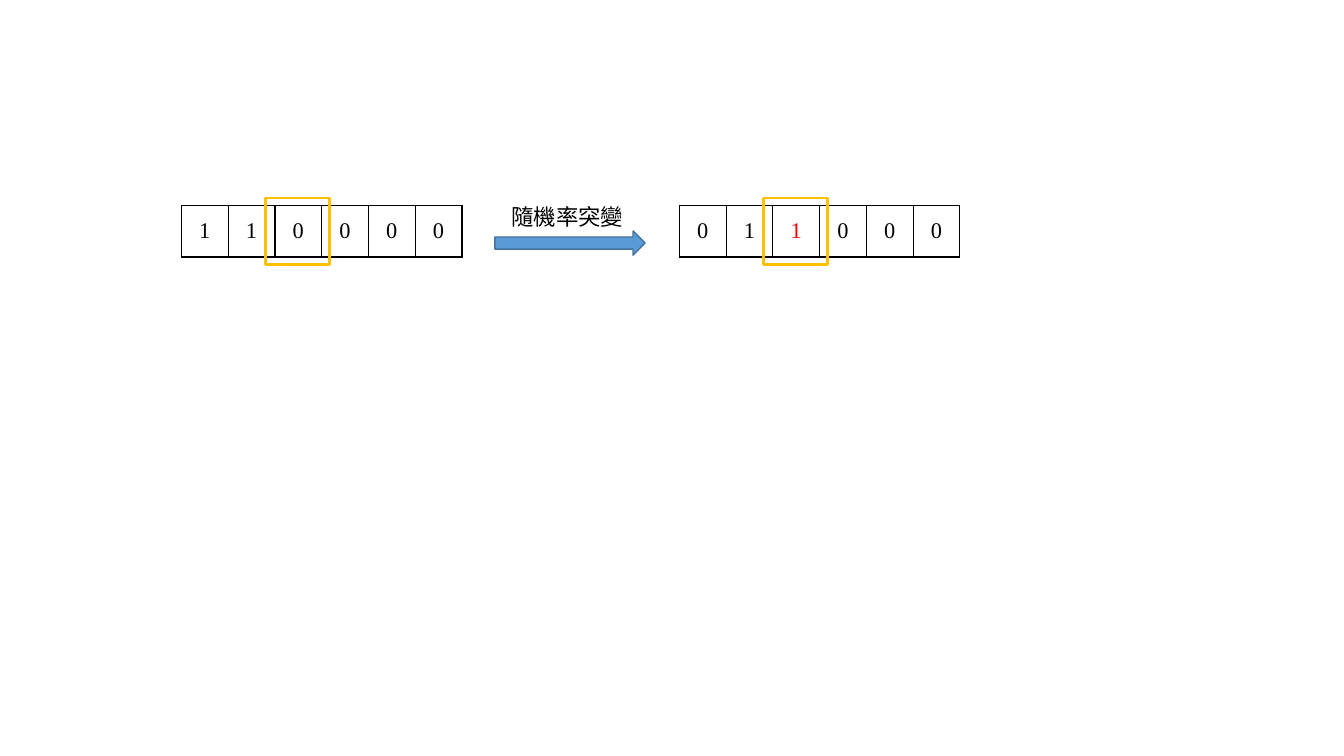
from lxml import etree
from pptx import Presentation
from pptx.dml.color import RGBColor
from pptx.enum.shapes import MSO_SHAPE
from pptx.enum.text import MSO_ANCHOR, MSO_AUTO_SIZE, PP_ALIGN
from pptx.oxml.ns import qn
from pptx.util import Pt

BLACK = RGBColor(0x00, 0x00, 0x00)
WHITE = RGBColor(0xFF, 0xFF, 0xFF)
RED = RGBColor(0xFF, 0x00, 0x00)
AMBER = RGBColor(0xFF, 0xC0, 0x00)
BLUE = RGBColor(0x5B, 0x9B, 0xD5)
DARK_BLUE = RGBColor(0x43, 0x73, 0x9E)
DIGIT_FONT, LABEL_FONT = "Times New Roman", "Noto Sans CJK SC"
TEXT_SIZE = 16

# left edge, genes, colour of the highlighted gene
CHROMOSOMES = [
    (129.6, "110000", BLACK),
    (485.3, "011000", RED),
]
MUTATED = 2
LABEL = "隨機率突變"

ROW_TOP, GENE_W, GENE_H = 146.9, 33.4, 36.7
FRAME_W, FRAME_H = 46.1, 47.5
FRAME_TOP = ROW_TOP + (GENE_H - FRAME_H) / 2
FRAME_SHIFT = (MUTATED + 0.5) * GENE_W - FRAME_W / 2 - 0.6


def write(frame, text, font, color):
    """Put one centred, formatted line into a text frame."""
    paragraph = frame.paragraphs[0]
    paragraph.alignment = PP_ALIGN.CENTER
    run = paragraph.add_run()
    run.text = text
    run.font.size = Pt(TEXT_SIZE)
    run.font.name = font
    run.font.color.rgb = color
    etree.SubElement(run.font._element, qn("a:ea"), typeface=font)


def add_borders(cell):
    """Give a cell a thin black line on each side."""
    properties = cell._tc.get_or_add_tcPr()
    for side in ("lnL", "lnR", "lnT", "lnB"):
        line = etree.SubElement(properties, qn(f"a:{side}"), w=str(Pt(1)))
        fill = etree.SubElement(line, qn("a:solidFill"))
        etree.SubElement(fill, qn("a:srgbClr"), val=str(BLACK))


def add_chromosome(slide, left, genes, mutated_color):
    """Draw one row of genes as a table."""
    table = slide.shapes.add_table(
        1, len(genes), Pt(left), Pt(ROW_TOP),
        Pt(GENE_W * len(genes)), Pt(GENE_H)).table
    table.first_row = table.horz_banding = False
    for index, gene in enumerate(genes):
        table.columns[index].width = Pt(GENE_W)
        cell = table.cell(0, index)
        cell.vertical_anchor = MSO_ANCHOR.MIDDLE
        add_borders(cell)
        cell.fill.solid()
        cell.fill.fore_color.rgb = WHITE
        color = mutated_color if index == MUTATED else BLACK
        write(cell.text_frame, gene, DIGIT_FONT, color)


def add_outlined(slide, kind, box, line, width, fill=None):
    """Draw a preset shape with an outline and an optional fill."""
    shape = slide.shapes.add_shape(kind, *map(Pt, box))
    shape.shadow.inherit = False
    shape.line.color.rgb = line
    shape.line.width = Pt(width)
    if fill is None:
        shape.fill.background()
    else:
        shape.fill.solid()
        shape.fill.fore_color.rgb = fill


def add_label(slide, text, box):
    """Add a single-line text box that fits its text."""
    frame = slide.shapes.add_textbox(*map(Pt, box)).text_frame
    frame.word_wrap = False
    frame.auto_size = MSO_AUTO_SIZE.SHAPE_TO_FIT_TEXT
    write(frame, text, LABEL_FONT, BLACK)


prs = Presentation()
prs.slide_width, prs.slide_height = Pt(960), Pt(540)
slide = prs.slides.add_slide(prs.slide_layouts[6])

for left, genes, mutated_color in CHROMOSOMES:
    add_chromosome(slide, left, genes, mutated_color)
for left, _, _ in CHROMOSOMES:
    add_outlined(slide, MSO_SHAPE.RECTANGLE,
                 (left + FRAME_SHIFT, FRAME_TOP, FRAME_W, FRAME_H), AMBER, 2)
add_outlined(slide, MSO_SHAPE.RIGHT_ARROW, (353.5, 165, 107.3, 17.3),
             DARK_BLUE, 1, BLUE)
add_label(slide, LABEL, (357.8, 141.8, 95, 26.6))

prs.save("out.pptx")
